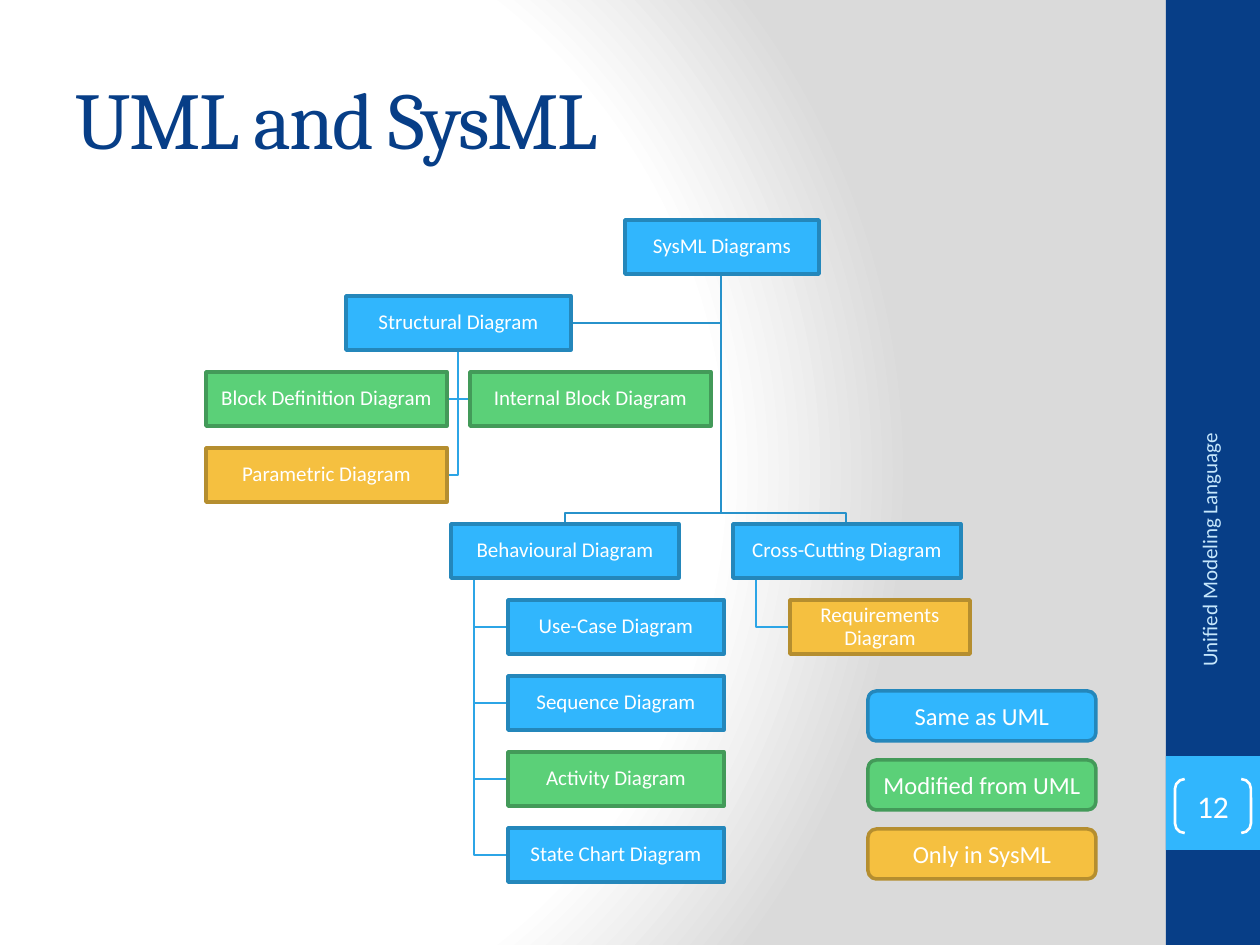
"""Builds the slide that compares UML diagrams with SysML diagrams."""
from pptx import Presentation
from pptx.dml.color import RGBColor
from pptx.enum.shapes import MSO_SHAPE
from pptx.enum.text import MSO_ANCHOR, PP_ALIGN
from pptx.oxml import parse_xml
from pptx.oxml.ns import nsdecls
from pptx.util import Emu, Pt

PX = 914400 / 126
BLUE, GREEN, AMBER = ("31B6FD", "2487BB"), ("5BD078", "439A59"), ("F5C040", "B58E2F")
TOP, STEP, BOX_H = 220, 76, 54


def write(sp, text, size, color="FFFFFF", align=PP_ALIGN.CENTER, font="Calibri", inset=1):
    tf = sp.text_frame
    tf.word_wrap = True
    tf.vertical_anchor = MSO_ANCHOR.MIDDLE
    tf.margin_left = tf.margin_right = Emu(round(inset * PX))
    tf.margin_top = tf.margin_bottom = Emu(round(PX))
    tf.text = text
    p = tf.paragraphs[0]
    p.alignment = align
    r = p.runs[0]
    r.font.size = Pt(size)
    r.font.name = font
    r.font.color.rgb = RGBColor.from_string(color)
    return p


def add_box(kind, x, y, w, h, fill=None, line=None, width=2):
    sp = s.shapes.add_shape(kind, *(Emu(round(v * PX)) for v in (x, y, w, h)))
    sp.shadow.inherit = False
    if fill:
        sp.fill.solid()
        sp.fill.fore_color.rgb = RGBColor.from_string(fill)
    else:
        sp.fill.background()
    if line:
        sp.line.color.rgb = RGBColor.from_string(line)
        sp.line.width = Pt(width)
    else:
        sp.line.fill.background()
    return sp


prs = Presentation()
prs.slide_width, prs.slide_height = Emu(round(1260 * PX)), Emu(round(945 * PX))
s = prs.slides.add_slide(prs.slide_layouts[6])

stops = "".join(
    f'<a:gs pos="{pos}000"><a:srgbClr val="{color}"/></a:gs>'
    for pos, color in ((0, "FFFFFF"), (75, "FFFFFF"), (100, "DADADA"))
)
s.element.cSld.insert(0, parse_xml(
    f'<p:bg {nsdecls("p", "a")}><p:bgPr><a:gradFill rotWithShape="1"><a:gsLst>{stops}</a:gsLst>'
    '<a:path path="circle"><a:fillToRect l="20000" t="50000" r="100000" b="50000"/></a:path>'
    "</a:gradFill><a:effectLst/></p:bgPr></p:bg>"
))

add_box(MSO_SHAPE.RECTANGLE, 1166, 0, 94, 945, "073E87")
add_box(MSO_SHAPE.RECTANGLE, 1166, 756, 94, 94, "31B6FD")

title = s.shapes.add_textbox(*(Emu(round(v * PX)) for v in (63, 38, 1050, 158)))
p = write(title, "UML and SysML", 46, "073E87", PP_ALIGN.LEFT, "Cambria", 13)
p.runs[0].font._element.set("spc", "-100")

row_tops = [TOP + STEP * i for i in range(9)]
row_mids = [y + BOX_H // 2 for y in row_tops]
root_y, structural_y, group_y = (row_tops[i] + BOX_H for i in (0, 1, 4))
fork_y = row_tops[4] - 11

links = [
    ("2CA5E6", [(458, structural_y), (458, row_mids[3]), (448, row_mids[3])]),
    ("2CA5E6", [(458, structural_y), (458, row_mids[2]), (469, row_mids[2])]),
    ("2CA5E6", [(458, structural_y), (458, row_mids[2]), (448, row_mids[2])]),
    ("2792CB", [(721, root_y), (721, row_mids[1]), (571, row_mids[1])]),
    ("2CA5E6", [(756, group_y), (756, row_mids[5]), (789, row_mids[5])]),
]
for x in (846, 565):
    links.append(("2792CB", [(721, root_y), (721, fork_y), (x, fork_y), (x, row_tops[4])]))
for y in row_mids[5:]:
    links.append(("2CA5E6", [(474, group_y), (474, y), (507, y)]))

for color, points in links:
    path_builder = s.shapes.build_freeform(*points[0], scale=PX)
    path_builder.add_line_segments(points[1:], close=False)
    sp = path_builder.convert_to_shape()
    sp.shadow.inherit = False
    sp.fill.background()
    sp.line.color.rgb = RGBColor.from_string(color)
    sp.line.width = Pt(1)

diagrams = [
    ("SysML Diagrams", 0, 625, 194, BLUE),
    ("Behavioural Diagram", 4, 451, 228, BLUE),
    ("Use-Case Diagram", 5, 508, 216, BLUE),
    ("Sequence Diagram", 6, 508, 216, BLUE),
    ("Activity Diagram", 7, 508, 216, GREEN),
    ("State Chart Diagram", 8, 508, 216, BLUE),
    ("Cross-Cutting Diagram", 4, 733, 228, BLUE),
    ("Requirements Diagram", 5, 790, 180, AMBER),
    ("Structural Diagram", 1, 346, 225, BLUE),
    ("Block Definition Diagram", 2, 206, 241, GREEN),
    ("Internal Block Diagram", 2, 470, 241, GREEN),
    ("Parametric Diagram", 3, 206, 241, AMBER),
]
for text, row, x, w, colors in diagrams:
    sp = add_box(MSO_SHAPE.RECTANGLE, x, row_tops[row], w, BOX_H, *colors)
    write(sp, text, 12).line_spacing = 0.9

legend = [("Same as UML", BLUE), ("Modified from UML", GREEN), ("Only in SysML", AMBER)]
for i, (text, colors) in enumerate(legend):
    sp = add_box(MSO_SHAPE.ROUNDED_RECTANGLE, 868, 691 + 69 * i, 228, 50, *colors)
    write(sp, text, 14)

footer = s.shapes.add_textbox(*(Emu(round(v * PX)) for v in (1046, 558, 326, 50)))
footer.rotation = 270
write(footer, "Unified Modeling Language", 12, "C6E7FC", PP_ALIGN.RIGHT, inset=13)

number = add_box(MSO_SHAPE.DOUBLE_BRACKET, 1175, 779, 76, 54, line="FFFFFF", width=1.5)
number.adjustments[0] = 0.18
write(number, "12", 18, inset=0)

prs.save("out.pptx")
